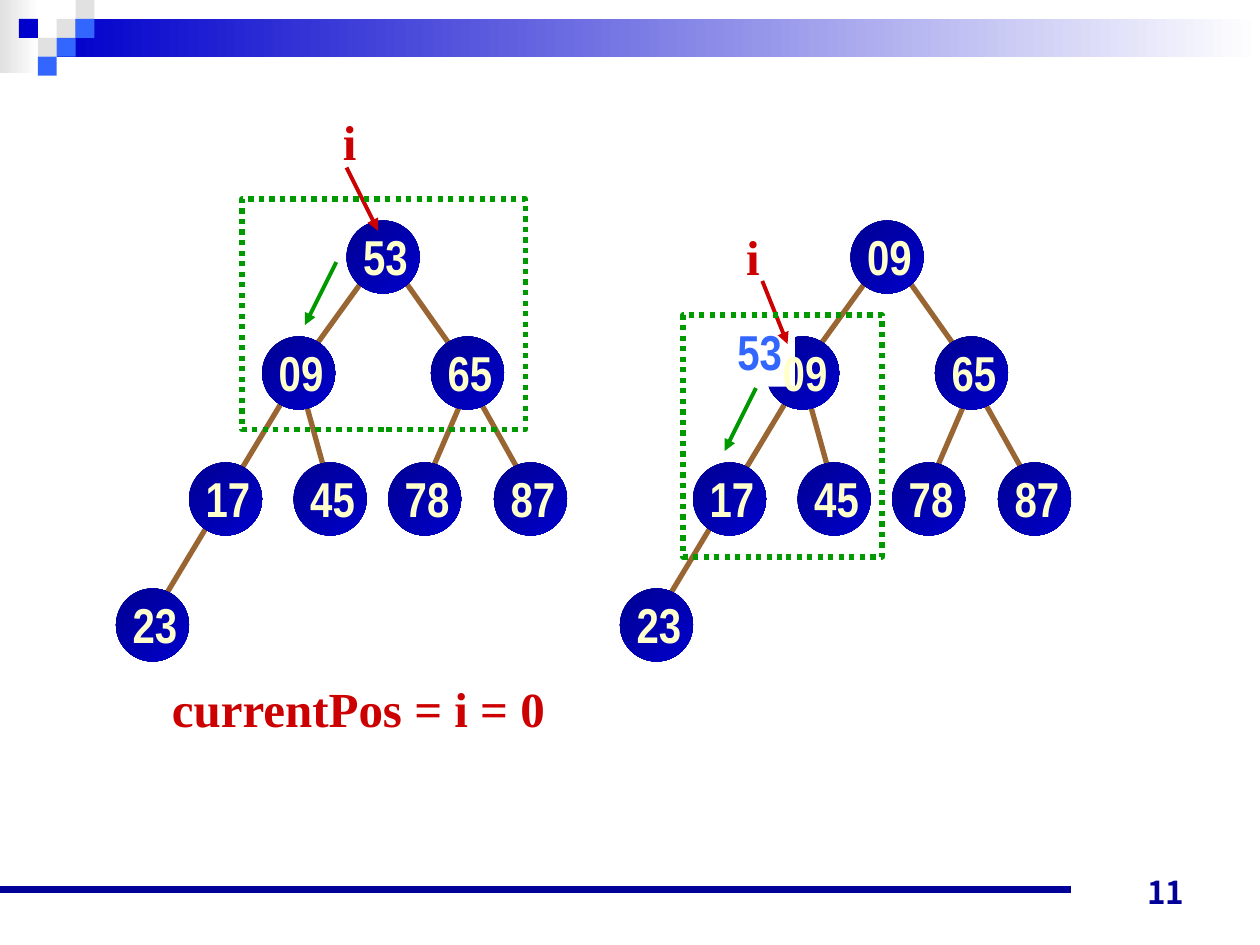
from lxml.etree import SubElement
from pptx import Presentation
from pptx.dml.color import RGBColor
from pptx.enum.dml import MSO_LINE
from pptx.enum.shapes import MSO_CONNECTOR, MSO_SHAPE
from pptx.enum.text import MSO_ANCHOR, PP_ALIGN
from pptx.oxml.ns import qn
from pptx.util import Inches, Pt

WHITE = RGBColor(0xFF, 0xFF, 0xFF)
GRAY = RGBColor(0xE1, 0xE1, 0xE1)
BLUE = RGBColor(0x00, 0x00, 0xCC)
LIGHT_BLUE = RGBColor(0x33, 0x66, 0xFF)
NAVY = RGBColor(0x00, 0x00, 0x99)
DARK_NAVY = RGBColor(0x00, 0x00, 0x92)
CREAM = RGBColor(0xFF, 0xFF, 0xCC)
BROWN = RGBColor(0x99, 0x66, 0x33)
RED = RGBColor(0xCC, 0x00, 0x00)
GREEN = RGBColor(0x00, 0x99, 0x00)

SERIF = "Times New Roman"
NARROW = "Arial Narrow"
NODE_SIZE = 0.58
LABEL_SIZE = (0.56, 0.57)
TREE_GAP = 4

# Heap order: root, second level, third level, last leaf
NODES = [(2.75, 1.75), (2.08, 2.67), (3.42, 2.67), (1.5, 3.67),
         (2.33, 3.67), (3.08, 3.67), (3.92, 3.67), (0.92, 4.67)]
EDGES = [((3.75, 3.08), (4.17, 3.83)), ((3.67, 3.17), (3.42, 3.75)),
         ((3.17, 2.17), (3.58, 2.75)), ((2.42, 3.17), (2.58, 3.75)),
         ((2.92, 2.17), (2.5, 2.75)), ((2.25, 3.17), (1.25, 4.83))]
LOWER_VALUES = ["65", "17", "45", "78", "87", "23"]


def add_filled(page, kind, left, top, width, height, *colors, angle=0):
    """Add a borderless shape, solid for one colour and graded for two."""
    shape = page.shapes.add_shape(kind, Inches(left), Inches(top),
                                  Inches(width), Inches(height))
    shape.shadow.inherit = False
    shape.line.fill.background()
    if len(colors) == 1:
        shape.fill.solid()
        shape.fill.fore_color.rgb = colors[0]
    else:
        shape.fill.gradient()
        shape.fill.gradient_angle = angle
        for stop, color in zip(shape.fill.gradient_stops, colors):
            stop.color.rgb = color


def add_line(page, start, end, color, width, arrow=False):
    line = page.shapes.add_connector(MSO_CONNECTOR.STRAIGHT,
                                     *map(Inches, start + end))
    line.line.color.rgb = color
    line.line.width = Pt(width)
    if arrow:
        SubElement(line.line._get_or_add_ln(), qn("a:tailEnd"), type="triangle")
    SubElement(line._element.spPr, qn("a:effectLst"))


def add_text(page, text, left, top, width, height, color, font=NARROW, size=28,
             align=PP_ALIGN.CENTER, anchor=MSO_ANCHOR.MIDDLE, background=None):
    box = page.shapes.add_textbox(Inches(left), Inches(top),
                                  Inches(width), Inches(height))
    if background is not None:
        box.fill.solid()
        box.fill.fore_color.rgb = background
    frame = box.text_frame
    frame.word_wrap = False
    frame.vertical_anchor = anchor
    para = frame.paragraphs[0]
    para.text = text
    para.alignment = align
    para.font.name = font
    para.font.size = Pt(size)
    para.font.bold = True
    para.font.color.rgb = color


def add_dotted_frame(page, left, top, width, height):
    frame = page.shapes.add_shape(MSO_SHAPE.RECTANGLE, Inches(left), Inches(top),
                                  Inches(width), Inches(height))
    frame.shadow.inherit = False
    frame.fill.background()
    frame.line.color.rgb = GREEN
    frame.line.width = Pt(3)
    frame.line.dash_style = MSO_LINE.ROUND_DOT


def add_decoration(page):
    """Add the banner with its mosaic, the footer rule and the page number."""
    add_filled(page, MSO_SHAPE.RECTANGLE, 0, 0, 0.31, 0.58, GRAY, WHITE)
    add_filled(page, MSO_SHAPE.RECTANGLE, 0.45, 0.15, 9.55, 0.3, BLUE, WHITE)
    tiles = [(3, 1, GRAY), (4, 0, GRAY), (4, 1, LIGHT_BLUE), (2, 2, GRAY),
             (1, 1, BLUE), (3, 2, LIGHT_BLUE), (2, 3, LIGHT_BLUE)]
    for column, row, color in tiles:
        add_filled(page, MSO_SHAPE.RECTANGLE, column * 0.15, row * 0.15,
                   0.15, 0.15, color)
    add_line(page, (0, 7.06), (8.5, 7.06), NAVY, 4.5)
    add_text(page, "11", 7.17, 6.78, 2.33, 0.5, NAVY, "Noto Sans CJK JP", 18,
             PP_ALIGN.RIGHT, MSO_ANCHOR.BOTTOM)


def add_tree(page, shift):
    for (x1, y1), (x2, y2) in EDGES:
        add_line(page, (x1 + shift, y1), (x2 + shift, y2), BROWN, 3)
    for left, top in NODES:
        add_filled(page, MSO_SHAPE.OVAL, left + shift, top, NODE_SIZE, NODE_SIZE,
                   DARK_NAVY, BLUE, angle=315)


def add_labels(page, values, shift):
    for value, (left, top) in zip(values, NODES):
        add_text(page, value, left + shift + 0.03, top, *LABEL_SIZE, CREAM)


def add_index(page, left, top, start, end):
    """Add the letter i with its pointer to a node."""
    add_line(page, start, end, RED, 2.25, arrow=True)
    add_text(page, "i", left, top, 0.31, 0.57, RED, SERIF)


def main():
    deck = Presentation()
    deck.slide_width, deck.slide_height = Inches(10), Inches(7.5)
    page = deck.slides.add_slide(deck.slide_layouts[6])
    add_decoration(page)
    add_text(page, "currentPos = i = 0", 1.26, 5.33, 3.17, 0.57, RED, SERIF)

    add_tree(page, 0)
    add_labels(page, ["53", "09"] + LOWER_VALUES, 0)
    add_index(page, 2.62, 0.83, (2.75, 1.33), (3, 1.83))
    add_dotted_frame(page, 1.92, 1.58, 2.25, 1.83)
    add_line(page, (2.67, 2.08), (2.42, 2.58), GREEN, 2.25, arrow=True)

    add_tree(page, TREE_GAP)
    add_text(page, "53", 5.75, 2.5, *LABEL_SIZE, LIGHT_BLUE, background=WHITE)
    add_labels(page, ["09", "09"] + LOWER_VALUES, TREE_GAP)
    add_index(page, 5.82, 1.75, (6.05, 2.23), (6.25, 2.73))
    add_dotted_frame(page, 5.42, 2.5, 1.58, 1.92)
    add_line(page, (6, 3.08), (5.75, 3.58), GREEN, 2.25, arrow=True)
    deck.save("out.pptx")


if __name__ == "__main__":
    main()
